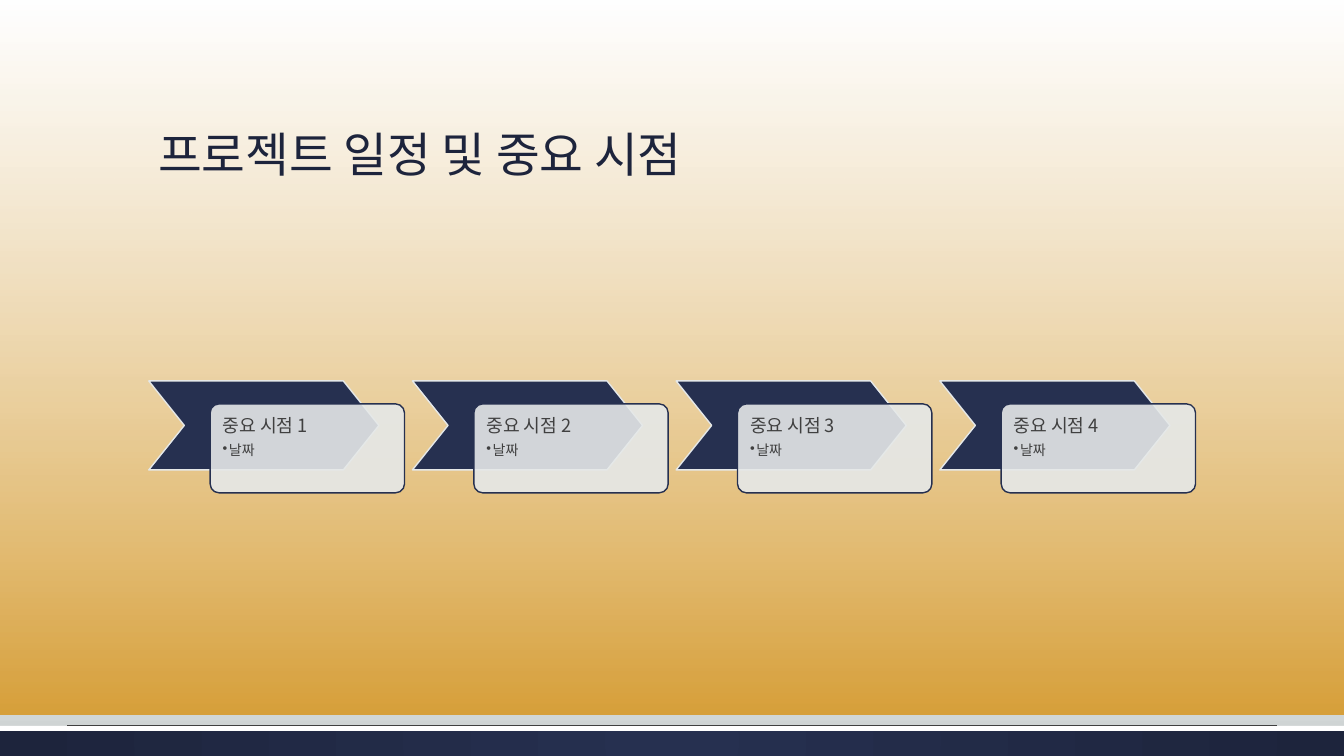
from lxml import etree
from pptx import Presentation
from pptx.dml.color import RGBColor
from pptx.enum.shapes import MSO_CONNECTOR, MSO_SHAPE
from pptx.enum.text import MSO_ANCHOR, MSO_AUTO_SIZE, PP_ALIGN
from pptx.oxml.ns import qn
from pptx.util import Cm, Pt

RECT, CHEVRON = MSO_SHAPE.RECTANGLE, MSO_SHAPE.CHEVRON
ROUNDED = MSO_SHAPE.ROUNDED_RECTANGLE
STRAIGHT = MSO_CONNECTOR.STRAIGHT
TOP, BOTTOM = MSO_ANCHOR.TOP, MSO_ANCHOR.BOTTOM
LEFT, NO_AUTOFIT = PP_ALIGN.LEFT, MSO_AUTO_SIZE.NONE

FONT = "Noto Sans CJK KR"
NAVY, INK, MIST, GREY = "263050", "1D243C", "E5E8E8", "404040"
WIDTH, HEIGHT = 33.87, 19.05
MILESTONES = [(f"중요 시점 {number}", "날짜") for number in range(1, 5)]


def rgb(value):
    """Return the colour for a hex string."""
    return RGBColor.from_string(value)


def child(parent, tag, **attributes):
    """Append a drawing element with the given attributes."""
    values = {name: str(value) for name, value in attributes.items()}
    return etree.SubElement(parent, qn(tag), values)


def set_alpha(color, percent):
    """Make a colour element partly transparent."""
    child(color, "a:alpha", val=percent * 1000)


def set_gradient(fill, owner, stops, radial=False):
    """Fill with (position, colour, opacity) stops, downwards or from the centre."""
    fill.gradient()
    gradient = owner.find(".//" + qn("a:gradFill"))
    for part in list(gradient):
        gradient.remove(part)
    stop_list = child(gradient, "a:gsLst")
    for position, color, opacity in stops:
        stop = child(stop_list, "a:gs", pos=position * 1000)
        set_alpha(child(stop, "a:srgbClr", val=color), opacity)
    if radial:
        center = child(gradient, "a:path", path="circle")
        child(center, "a:fillToRect", l=50000, t=50000, r=50000, b=50000)
    else:
        child(gradient, "a:lin", ang=5400000, scaled=0)


def add_block(slide, preset, box, fill=None, line=None, adjust=None):
    """Add a preset shape in a box given in centimetres."""
    block = slide.shapes.add_shape(preset, *map(Cm, box))
    block.shadow.inherit = False
    if fill:
        block.fill.solid()
        block.fill.fore_color.rgb = rgb(fill)
    if line:
        block.line.color.rgb = rgb(line)
        block.line.width = Pt(1)
    else:
        block.line.fill.background()
    if adjust is not None:
        block.adjustments[0] = adjust
    return block


def write(paragraph, text, size, color, after=0, bullet=None):
    """Write one formatted paragraph."""
    paragraph.alignment = LEFT
    paragraph.line_spacing = 0.9
    paragraph.space_after = Pt(after)
    if bullet:
        properties = paragraph._p.get_or_add_pPr()
        properties.set("marL", str(Cm(0.16)))
        properties.set("indent", str(Cm(-0.16)))
        child(properties, "a:buChar", char=bullet)
    run = paragraph.add_run()
    run.text = text
    run.font.size = Pt(size)
    run.font.color.rgb = rgb(color)
    run.font.name = FONT
    child(run._r.get_or_add_rPr(), "a:ea", typeface=FONT)


def add_backdrop(slide, box):
    """Paint the slide background and the golden panel in the box."""
    set_gradient(slide.background.fill, slide._element,
                 [(0, "FFFFFF", 100), (72, MIST, 100), (100, "CDD2D2", 100)])
    panel = add_block(slide, RECT, box)
    set_gradient(panel.fill, panel._element,
                 [(0, "FFFFFF", 51), (100, "DA8C00", 73)])


def add_footer(slide, box):
    """Draw the navy band, its white edge and the thin rule above it."""
    left, top, width, height = box
    band = add_block(slide, RECT, box)
    set_gradient(band.fill, band._element,
                 [(0, NAVY, 100), (100, INK, 100)], radial=True)
    add_block(slide, RECT, (left, top, width, 0.13), "FFFFFF")
    margin, rule_top = width / 20, top - 0.02
    rule = slide.shapes.add_connector(
        STRAIGHT, Cm(left + margin), Cm(rule_top),
        Cm(left + width - margin), Cm(rule_top))
    rule.line.color.rgb = rgb(GREY)
    rule.line.width = Pt(0.75)
    child(rule._element.spPr, "a:effectLst")


def add_title(slide, box, text):
    """Place the title placeholder in the box, in front of the backdrop."""
    title = slide.shapes.title
    slide.shapes._spTree.append(title._element)
    title.left, title.top, title.width, title.height = map(Cm, box)
    frame = title.text_frame
    frame.word_wrap = True
    frame.auto_size = NO_AUTOFIT
    frame.vertical_anchor = BOTTOM
    write(frame.paragraphs[0], text, 34, INK)


def add_milestone(slide, box, name, date):
    """Draw a chevron with its overlapping card inside the box."""
    left, top, width, height = box
    step_height = height * 0.795
    add_block(slide, CHEVRON, (left, top, width * 0.9, step_height),
              NAVY, MIST, 0.4)
    card = add_block(slide, ROUNDED,
                     (left + width * 0.24, top + height - step_height,
                      width * 0.76, step_height), MIST, NAVY, 0.1)
    set_alpha(card._element.spPr.find(qn("a:solidFill"))[0], 90)
    frame = card.text_frame
    frame.word_wrap = True
    frame.vertical_anchor = TOP
    frame.margin_left = frame.margin_right = Cm(0.25)
    frame.margin_top = frame.margin_bottom = Cm(0.25)
    write(frame.paragraphs[0], name, 13, GREY, after=5)
    write(frame.add_paragraph(), date, 10, GREY, after=1.5, bullet="•")


def add_timeline(slide, box, milestones):
    """Spread the milestones evenly across the box."""
    left, top, width, height = box
    gap = 0.2
    step = (width + gap) / len(milestones)
    for index, (name, date) in enumerate(milestones):
        add_milestone(slide, (left + index * step, top, step - gap, height),
                      name, date)


def main():
    """Build and save the slide."""
    deck = Presentation()
    deck.slide_width, deck.slide_height = Cm(WIDTH), Cm(HEIGHT)
    slide = deck.slides.add_slide(deck.slide_layouts[5])
    add_backdrop(slide, (0, 0, WIDTH, 18.01))
    add_footer(slide, (0, 18.29, WIDTH, 0.76))
    add_title(slide, (3.73, 1.3, 26.42, 3.43), "프로젝트 일정 및 중요 시점")
    add_timeline(slide, (3.75, 9.6, 26.38, 2.82), MILESTONES)
    deck.save("out.pptx")


if __name__ == "__main__":
    main()
